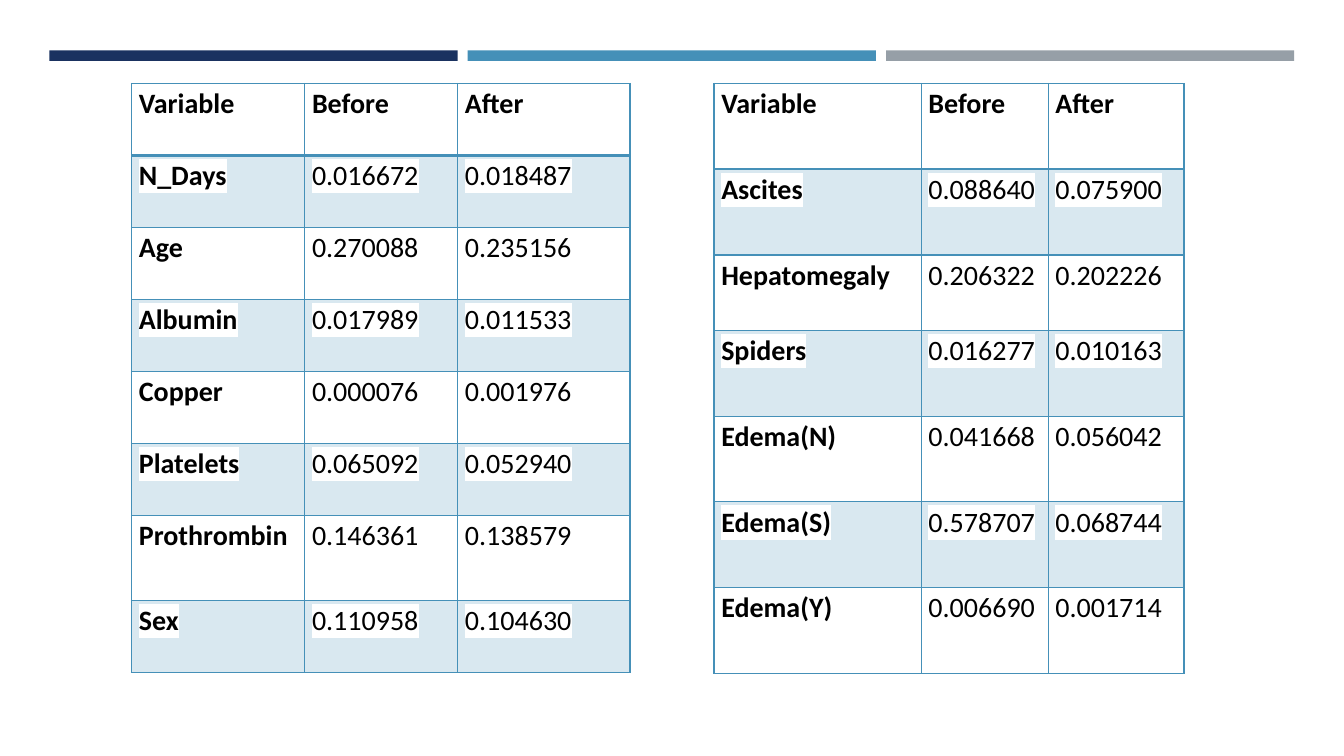
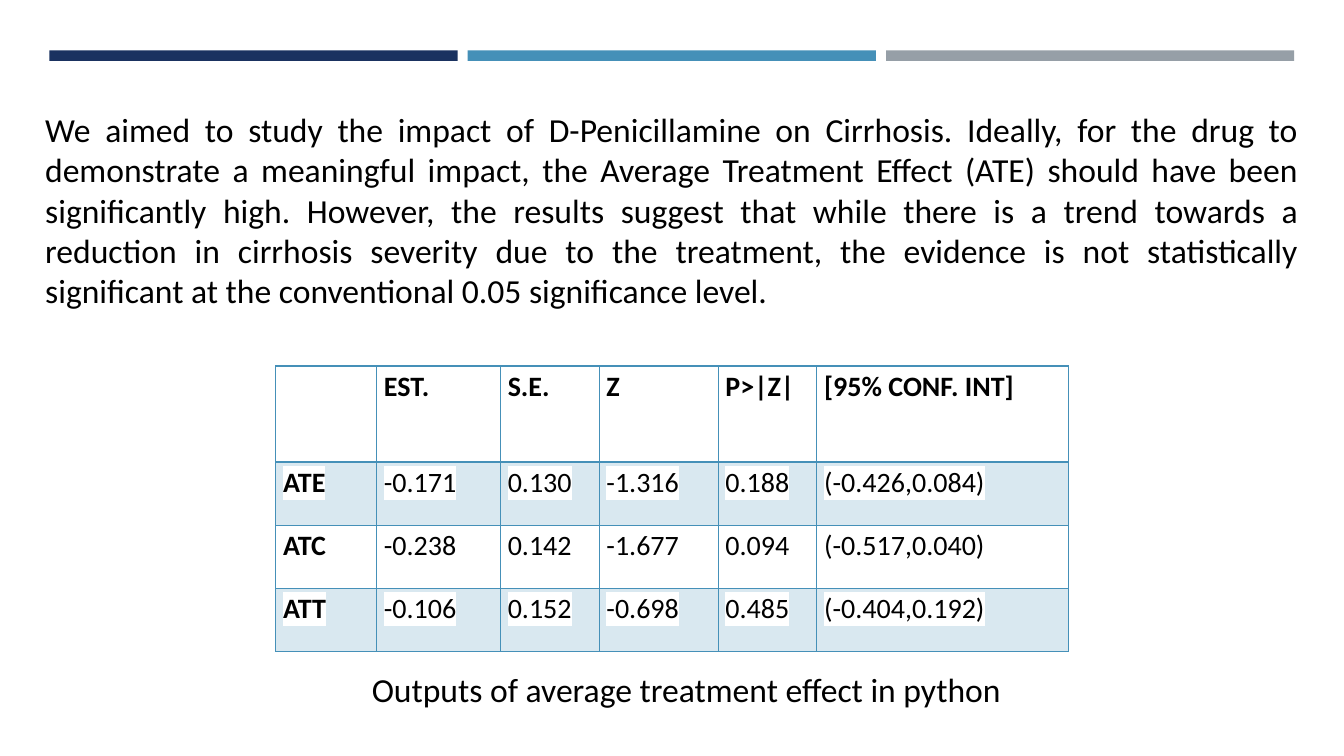
from dataclasses import dataclass

from lxml.etree import SubElement
from pptx import Presentation
from pptx.dml.color import RGBColor as Color
from pptx.enum.shapes import MSO_SHAPE as Shape
from pptx.enum.text import MSO_AUTO_SIZE as AutoSize, PP_ALIGN as Align
from pptx.oxml.ns import qn
from pptx.oxml.xmlchemy import OxmlElement
from pptx.util import Pt


@dataclass(frozen=True)
class Theme:
    navy: str = "1A3260"
    blue: str = "4590B8"
    grey: str = "969FA7"
    ink: str = "000000"
    paper: str = "FFFFFF"
    stripe_alpha: str = "20000"
    font: str = "Calibri"
    body_size: int = 24
    cell_size: int = 20
    thin: int = 1
    thick: int = 2


theme = Theme()


def write(para, text, size, bold=False):
    """Add one run of text in the theme font and return it."""
    span = para.add_run()
    span.text = text
    span.font.color.rgb = Color.from_string(theme.ink)
    formats = {"name": theme.font, "size": Pt(size), "bold": bold}
    for name, value in formats.items():
        setattr(span.font, name, value)
    return span


def add_grid(page, left, top, widths, heights, rows):
    """Add a bordered table with a bold header and first column and striped rows."""
    frame = page.shapes.add_table(len(rows), len(widths), Pt(left), Pt(top),
                                  Pt(sum(widths)), Pt(sum(heights)))
    grid = frame.table
    grid.horz_banding = False
    for column, width in zip(grid.columns, widths):
        column.width = Pt(width)
    for row, height in zip(grid.rows, heights):
        row.height = Pt(height)

    for r, texts in enumerate(rows):
        for c, text in enumerate(texts):
            cell = grid.cell(r, c)
            margins = {"margin_left": 5.2, "margin_right": 5.2,
                       "margin_top": 0, "margin_bottom": 0}
            for name, value in margins.items():
                setattr(cell, name, Pt(value))

            if r % 2:
                cell.fill.solid()
                cell.fill.fore_color.rgb = Color.from_string(theme.blue)
            else:
                cell.fill.background()
            properties = cell._tc.get_or_add_tcPr()
            for tint in properties.iter(qn("a:srgbClr")):
                SubElement(tint, qn("a:alpha"), val=theme.stripe_alpha)

            borders = {"a:lnL": theme.thin, "a:lnR": theme.thin,
                       "a:lnT": theme.thick if r == 1 else theme.thin,
                       "a:lnB": theme.thick if r == 0 else theme.thin}
            for place, (side, weight) in enumerate(borders.items()):
                border = OxmlElement(side)
                border.set("w", str(Pt(weight)))
                paint = SubElement(border, qn("a:solidFill"))
                SubElement(paint, qn("a:srgbClr"), val=theme.blue)
                properties.insert(place, border)

            if text:
                para = cell.text_frame.paragraphs[0]
                layout = {"alignment": Align.JUSTIFY, "line_spacing": 1.1,
                          "space_after": Pt(5.5)}
                for name, value in layout.items():
                    setattr(para, name, value)
                span = write(para, text, theme.cell_size, bold=r == 0 or c == 0)
                highlight = OxmlElement("a:highlight")
                SubElement(highlight, qn("a:srgbClr"), val=theme.paper)
                span._r.get_or_add_rPr().find(qn("a:solidFill")).addnext(highlight)


deck = Presentation()
deck.slide_width, deck.slide_height = Pt(960), Pt(540)
blank = deck.slide_layouts[6]
balance_page = deck.slides.add_slide(blank)
effect_page = deck.slides.add_slide(blank)

# Three colour bands, moved to the layout so that every slide shows them
for i, colour in enumerate((theme.navy, theme.blue, theme.grey)):
    band = balance_page.shapes.add_shape(Shape.RECTANGLE, Pt(35.3 + 298.8 * i), Pt(36),
                                         Pt(291.6), Pt(7.5))
    band.shadow.inherit = False
    band.fill.solid()
    band.fill.fore_color.rgb = Color.from_string(colour)
    band.line.fill.background()
    blank.shapes.element.append(band.element)

# Slide 1: covariate balance before and after
header = ("Variable", "Before", "After")
add_grid(balance_page, 94, 59.7, (123.7, 109.3, 123), [51.4] * 6 + [61, 51.4], [
    header,
    ("N_Days", "0.016672", "0.018487"),
    ("Age", "0.270088", "0.235156"),
    ("Albumin", "0.017989", "0.011533"),
    ("Copper", "0.000076", "0.001976"),
    ("Platelets", "0.065092", "0.052940"),
    ("Prothrombin", "0.146361", "0.138579"),
    ("Sex", "0.110958", "0.104630"),
])
add_grid(balance_page, 510, 59.7, (148, 90.7, 97), [61.2] * 2 + [54] + [61.2] * 4, [
    header,
    ("Ascites", "0.088640", "0.075900"),
    ("Hepatomegaly", "0.206322", "0.202226"),
    ("Spiders", "0.016277", "0.010163"),
    ("Edema(N)", "0.041668", "0.056042"),
    ("Edema(S)", "0.578707", "0.068744"),
    ("Edema(Y)", "0.006690", "0.001714"),
])

# Slide 2: treatment effect
conclusion = (
    "We aimed to study the impact of D-Penicillamine on Cirrhosis. Ideally, for the drug "
    "to demonstrate a meaningful impact, the Average Treatment Effect (ATE) should have "
    "been significantly high. However, the results suggest that while there is a trend "
    "towards a reduction in cirrhosis severity due to the treatment, the evidence is not "
    "statistically significant at the conventional 0.05 significance level."
)
caption = "Outputs of average treatment effect in python"
for text, left, top, width, height, alignment in (
    (conclusion, 25.2, 74.2, 909.4, 152.6, Align.JUSTIFY),
    (caption, 258.5, 474.5, 479.5, 36, Align.LEFT),
):
    box = effect_page.shapes.add_textbox(Pt(left), Pt(top), Pt(width), Pt(height))
    box.text_frame.word_wrap = True
    box.text_frame.auto_size = AutoSize.SHAPE_TO_FIT_TEXT
    para = box.text_frame.paragraphs[0]
    para.alignment = alignment
    write(para, text, theme.body_size)

add_grid(effect_page, 197, 261.5, (72, 88.5, 70.5, 85, 70.5, 180), [68.7] + [45] * 3, [
    ("", "EST.", "S.E.", "Z", "P>|Z|", "[95% CONF. INT]"),
    ("ATE", "-0.171", "0.130", "-1.316", "0.188", "(-0.426,0.084)"),
    ("ATC", "-0.238", "0.142", "-1.677", "0.094", "(-0.517,0.040)"),
    ("ATT", "-0.106", "0.152", "-0.698", "0.485", "(-0.404,0.192)"),
])

deck.save("out.pptx")
